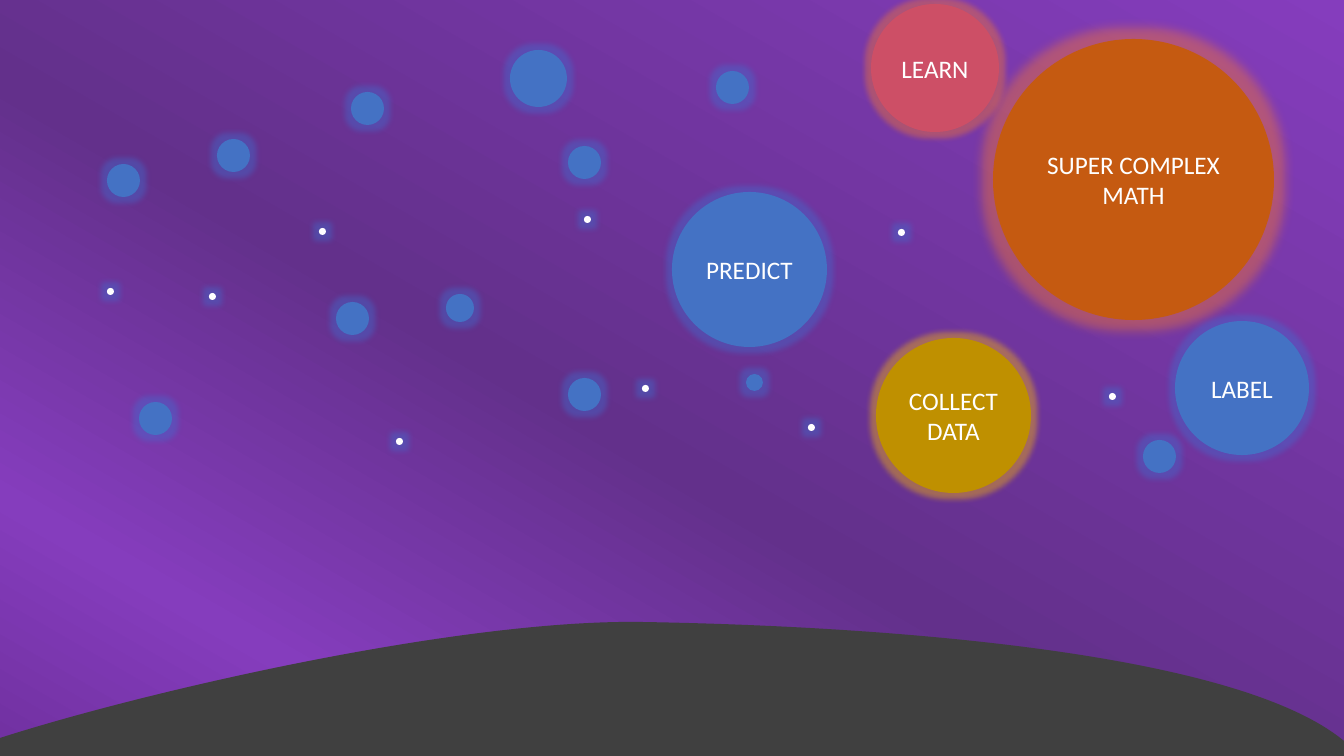
"""Build a slide of glowing planets and stars above a dark hill."""
from dataclasses import dataclass

from lxml.etree import SubElement
from pptx import Presentation
from pptx.dml.color import RGBColor
from pptx.enum.shapes import MSO_SHAPE
from pptx.enum.text import MSO_ANCHOR, PP_ALIGN
from pptx.oxml.ns import qn
from pptx.util import Pt


@dataclass(frozen=True)
class Theme:
    font: str = "Calibri"
    label_size: int = 18
    white: str = "FFFFFF"
    blue: str = "4472C4"
    blue_glow: str = "3E70D2"
    orange: str = "C55A11"
    orange_glow: str = "FF7D25"
    gold: str = "BF9000"
    gold_glow: str = "FFC000"
    pink: str = "CD4F66"
    hill: str = "404040"
    sky: tuple = ((0, "853DBD"), (56, "63308B"), (83, "853DBD"), (100, "7030A0"))


theme = Theme()
WIDTH, HEIGHT = 1344, 756
SCALE = 12192000 / WIDTH


def px(length):
    return round(length * SCALE)


def add_orb(left, top, size, color, glow_color, glow_points):
    orb = page.shapes.add_shape(MSO_SHAPE.OVAL, px(left), px(top), px(size), px(size))
    orb.fill.solid()
    orb.fill.fore_color.rgb = RGBColor.from_string(color)
    orb.line.fill.background()
    orb.shadow.inherit = False
    effects = orb.element.spPr.find(qn("a:effectLst"))
    glow = SubElement(effects, qn("a:glow"), rad=str(Pt(glow_points)))
    tint = SubElement(glow, qn("a:srgbClr"), val=glow_color)
    SubElement(tint, qn("a:alpha"), val="40000")
    return orb


deck = Presentation()
deck.slide_width, deck.slide_height = px(WIDTH), px(HEIGHT)
page = deck.slides.add_slide(deck.slide_layouts[6])

page.background.fill.gradient()
gradient = page.element.xpath(".//p:bg//a:gradFill")[0]
stops = gradient.find(qn("a:gsLst"))
for stop in list(stops):
    stops.remove(stop)
for position, color in theme.sky:
    stop = SubElement(stops, qn("a:gs"), pos=str(position * 1000))
    SubElement(stop, qn("a:srgbClr"), val=color)
direction = gradient.find(qn("a:lin"))
direction.set("ang", str(120 * 60000))
direction.set("scaled", "0")

hill_start = (-85, 776)
hill_curves = [
    ((-86, 749), (398, 618), (642, 622)),
    ((886, 626), (1377, 655), (1377, 801)),
    ((1180, 791), (891, 786), (647, 781)),
    ((403, 777), (-84, 802), hill_start),
]
builder = page.shapes.build_freeform(*hill_start, scale=SCALE)
builder.add_line_segments([curve[-1] for curve in hill_curves], close=True)
hill = builder.convert_to_shape()
hill.fill.solid()
hill.fill.fore_color.rgb = RGBColor.from_string(theme.hill)
hill.line.fill.background()
hill.shadow.inherit = False
hill_left = min(curve[-1][0] for curve in hill_curves)
hill_top = min(curve[-1][1] for curve in hill_curves)
for segment, curve in zip(hill.element.xpath(".//a:lnTo"), hill_curves):
    segment.tag = qn("a:cubicBezTo")
    for point in list(segment):
        segment.remove(point)
    for x, y in curve:
        SubElement(segment, qn("a:pt"), x=str(x - hill_left), y=str(y - hill_top))

planets = [
    ("SUPER COMPLEX MATH", 993, 39, 281, theme.orange, theme.orange_glow, 15),
    ("COLLECT DATA", 876, 338, 155, theme.gold, theme.gold_glow, 8),
    ("LEARN", 871, 4, 128, theme.pink, theme.orange_glow, 8),
    ("LABEL", 1175, 321, 134, theme.blue, theme.blue_glow, 8),
    ("PREDICT", 672, 192, 155, theme.blue, theme.blue_glow, 8),
]
for label, *look in planets:
    frame = add_orb(*look).text_frame
    frame.word_wrap = True
    frame.margin_left = frame.margin_right = 0
    frame.vertical_anchor = MSO_ANCHOR.MIDDLE
    para = frame.paragraphs[0]
    para.text = label
    para.alignment = PP_ALIGN.CENTER
    para.font.name = theme.font
    para.font.size = Pt(theme.label_size)
    para.font.color.rgb = RGBColor.from_string(theme.white)

star_groups = [
    (57, theme.blue, [(510, 50)]),
    (33, theme.blue, [
        (107, 164), (217, 139), (139, 402), (336, 302), (351, 92),
        (716, 71), (568, 378), (568, 146), (1143, 440),
    ]),
    (28, theme.blue, [(446, 294)]),
    (17, theme.blue, [(746, 374)]),
    (7, theme.white, [
        (319, 228), (1109, 393), (209, 293), (898, 229), (107, 288),
        (396, 438), (584, 216), (808, 424), (642, 385),
    ]),
]
for size, color, corners in star_groups:
    for left, top in corners:
        add_orb(left, top, size, color, theme.blue_glow, 8)

deck.save("out.pptx")
